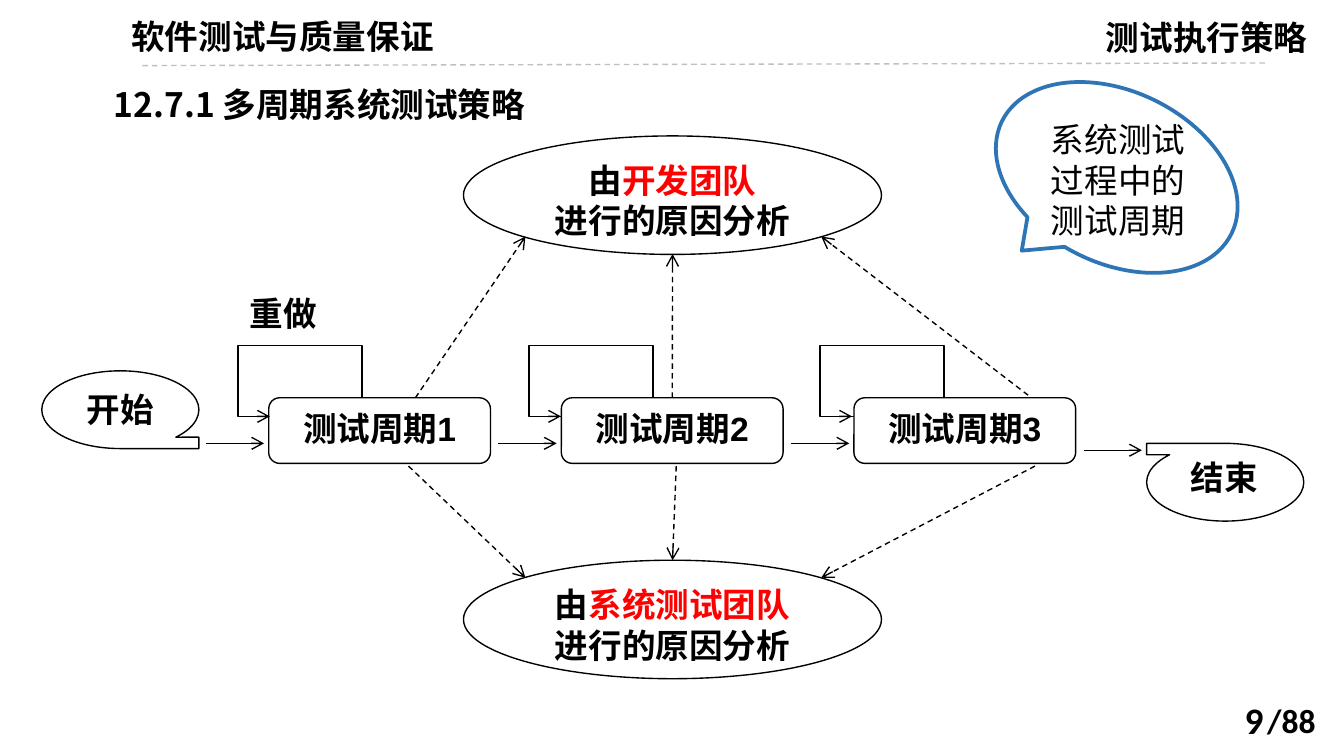
from dataclasses import dataclass

from lxml.etree import SubElement
from pptx import Presentation
from pptx.dml.color import RGBColor as Rgb
from pptx.enum.dml import MSO_LINE as Dash
from pptx.enum.shapes import MSO_CONNECTOR as Link, MSO_SHAPE as Kind
from pptx.enum.text import MSO_ANCHOR as Anchor, MSO_AUTO_SIZE as Fit, PP_ALIGN as Align
from pptx.oxml.ns import qn
from pptx.util import Cm, Pt


@dataclass(frozen=True)
class Theme:
    ink: str = "000000"
    paper: str = "FFFFFF"
    accent: str = "FF0000"
    bubble: str = "2E75B6"
    rule: str = "BFBFBF"
    body: int = 18
    page: int = 20
    thin: float = 0.75
    thick: float = 2
    flow: str = "Arial"
    plain: str = "Calibri"
    head: str = "Noto Sans CJK SC"


class Board:
    def __init__(self, slide, theme):
        self.slide = slide
        self.theme = theme

    def fill_text(self, frame, lines, font, size=None, bold=True,
                  align=Align.LEFT, anchor=Anchor.TOP):
        """Fill a frame; each line is a string or a list of (text, colour) runs."""
        frame.word_wrap = True
        frame.auto_size = Fit.NONE
        frame.vertical_anchor = anchor
        for i, line in enumerate(lines):
            para = frame.add_paragraph() if i else frame.paragraphs[0]
            para.alignment = align
            para.font.name = font
            para.font.size = Pt(size or self.theme.body)
            para.font.bold = bold
            runs = [(line, self.theme.ink)] if isinstance(line, str) else line
            for text, color in runs:
                run = para.add_run()
                run.text = text
                run.font.color.rgb = Rgb.from_string(color)

    def title(self, text, x, y, w, h):
        box = self.slide.shapes.title
        box.left, box.top, box.width, box.height = map(Cm, (x, y, w, h))
        self.fill_text(box.text_frame, [text], self.theme.head)

    def label(self, text, x, y, w, h, font, **style):
        box = self.slide.shapes.add_textbox(Cm(x), Cm(y), Cm(w), Cm(h))
        self.fill_text(box.text_frame, [text], font, **style)

    def shape(self, kind, x, y, w, h, lines=(), fill=None, line=None, width=None, turn=0):
        item = self.slide.shapes.add_shape(kind, Cm(x), Cm(y), Cm(w), Cm(h))
        item.shadow.inherit = False
        item.rotation = turn
        if fill:
            item.fill.solid()
            item.fill.fore_color.rgb = Rgb.from_string(fill)
        else:
            item.fill.background()
        item.line.color.rgb = Rgb.from_string(line or self.theme.ink)
        item.line.width = Pt(width or self.theme.thin)
        if lines:
            self.fill_text(item.text_frame, lines, self.theme.flow, align=Align.CENTER)
        return item

    def line(self, start, end, dash=False, color=None, arrow=True):
        item = self.slide.shapes.add_connector(
            Link.STRAIGHT, *map(Cm, (*start, *end)))
        item.line.color.rgb = Rgb.from_string(color or self.theme.ink)
        item.line.width = Pt(self.theme.thin)
        if dash:
            item.line.dash_style = Dash.DASH
        props = item._element.spPr
        if arrow:
            SubElement(props.find(qn("a:ln")), qn("a:tailEnd"), type="arrow")
        SubElement(props, qn("a:effectLst"))
        return item


def header(board):
    look = board.theme
    board.label("软件测试与质量保证", 1.57, 0.18, 7.54, 1.02, look.head, align=Align.CENTER)
    board.line((2.69, 1.24), (23.98, 1.19), dash=True, color=look.rule, arrow=False)
    board.label("测试执行策略", 20.65, 0.2, 4.6, 1.02, look.plain)
    board.title("12.7.1 多周期系统测试策略", 1.9, 1.45, 8.84, 1.02)


def cycles(board):
    """Draw the three cycles with their redo loops; return the cycle boxes."""
    boxes = []
    for i in range(3):
        left, loop = 5.08 + 5.53 * i, 4.5 + 5.5 * i
        board.shape(Kind.RECTANGLE, loop, 6.53, 2.34, 1.35)
        boxes.append(board.shape(Kind.ROUNDED_RECTANGLE, left, 7.52, 4.19, 1.24,
                                 [f"测试周期{i + 1}"], fill=board.theme.paper))
        board.line((loop, 7.87), (loop + 0.6, 7.87))
    for i, y in enumerate((8.38, 8.38, 8.38, 8.51)):
        x = 3.89 + 5.53 * i
        board.line((x, y), (x + 1.1, y))
    board.label("重做", 4.37, 5.41, 1.98, 1.24, board.theme.flow, align=Align.CENTER)
    return boxes


def ends(board):
    tape = Kind.FLOWCHART_SEQUENTIAL_ACCESS_STORAGE
    board.shape(tape, 0.79, 7.01, 2.97, 1.47, ["开始"])
    board.shape(tape, 21.67, 8.38, 2.97, 1.47, turn=180)
    board.label("结束", 22.15, 8.51, 1.98, 1.24, board.theme.flow, align=Align.CENTER)


def teams(board, middle):
    look = board.theme
    for y, team in ((2.57, "开发团队"), (10.59, "系统测试团队")):
        lines = [[("由", look.ink), (team, look.accent)], "进行的原因分析"]
        board.shape(Kind.OVAL, 8.76, y, 7.9, 2.24, lines)
    for start, end in (
        ((7.85, 7.52), (9.93, 4.47)),
        ((19.43, 7.47), (15.52, 4.47)),
        ((7.72, 8.81), (9.93, 10.92)),
        ((12.78, 8.81), (12.71, 10.59)),
        ((19.56, 8.81), (15.52, 10.92)),
    ):
        board.line(start, end, dash=True)
    board.line((12.71, 7.52), (12.71, 4.8), dash=True).begin_connect(middle, 0)


def notes(board):
    look = board.theme
    board.shape(Kind.OVAL_CALLOUT, 18.69, 1.73, 4.83, 3.25, fill=look.paper,
                line=look.bubble, width=look.thick, turn=26)
    board.label("系统测试过程中的测试周期", 19.61, 2.13, 3.1, 2.57, look.plain, bold=False)
    board.label("9", 18.21, 13.23, 5.92, 0.76, look.plain, size=look.page,
                align=Align.RIGHT, anchor=Anchor.MIDDLE)
    board.label("/88", 23.7, 13.11, 1.68, 1.02, look.plain)


def main():
    deck = Presentation()
    deck.slide_width, deck.slide_height = Cm(25.4), Cm(14.29)
    board = Board(deck.slides.add_slide(deck.slide_layouts[5]), Theme())
    header(board)
    boxes = cycles(board)
    ends(board)
    teams(board, boxes[1])
    notes(board)
    deck.save("out.pptx")


if __name__ == "__main__":
    main()
